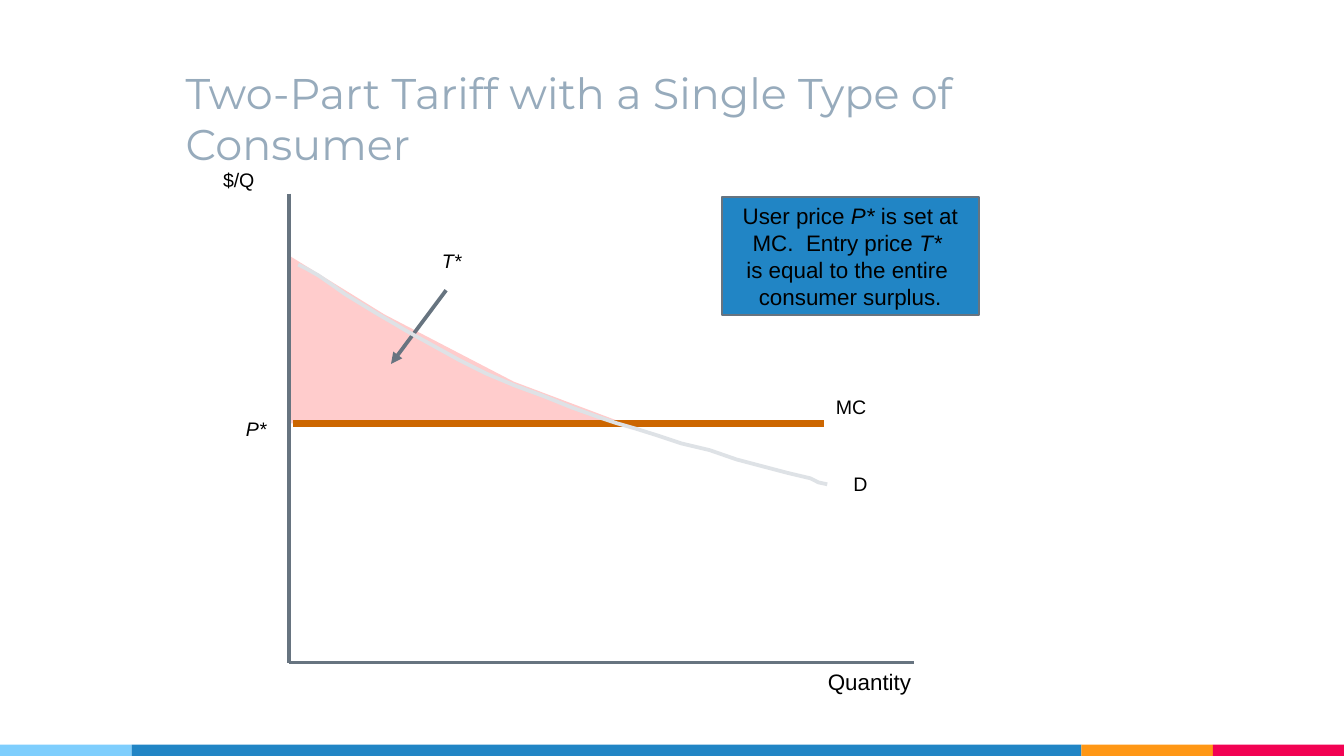
"""Build a slide on the two-part tariff with a single type of consumer."""
from lxml import etree
from pptx import Presentation, util as u
from pptx.dml.color import RGBColor
from pptx.enum import shapes, text
from pptx.oxml.ns import qn

WIDTH, HEIGHT = 720, 405
COLORS = {
    "title": "97ABBC", "text": "000000", "axis": "677480", "surplus": "FFCCCC",
    "cost": "CC6600", "demand": "DEE2E6", "sky": "7ECEFD", "blue": "2185C5",
    "orange": "FF9715", "red": "F20253",
}
TITLE = "Two-Part Tariff with a Single Type of Consumer"
FOOTER = [("sky", 70.5), ("blue", 508.8), ("orange", 70.5), ("red", 70.2)]
FOOTER_HEIGHT = 6
CALLOUT = [
    [("User price ", False), ("P* ", True), ("is set at", False)],
    [("MC.  Entry price ", False), ("T* ", True)],
    [("is equal to the entire ", False)],
    [("consumer surplus.", False)],
]
CALLOUT_FRAME = (386.8, 105.6, 137.5, 63.4)
ORIGIN = (155, 355)
PRICE = 226.8
SURPLUS = [(155, 137), (206, 168.5), (275.3, 204.5), (334.5, PRICE), (155, PRICE)]
DEMAND = [
    (159.8, 141.8), (164.2, 144), (170.6, 147.6), (177.8, 152.6), (185, 157.7),
    (201.6, 167.8), (210.2, 172.8), (217.4, 177.1), (246.2, 193), (260.6, 200.2),
    (275.8, 206.6), (291.6, 212.4), (306, 218.2), (321.8, 223.9), (330.5, 226.8),
    (340.6, 229.7), (352.1, 233.3), (365, 237.6), (380.2, 241.2), (394.6, 246.2),
    (408.2, 249.8), (421.9, 253.4), (434.2, 256.3), (438.5, 258.5), (443.2, 259.5),
]
LINES = [
    ((239, 155.5), (209.5, 195), "axis", 2, True),
    ((155, 103.7), ORIGIN, "axis", 2, False),
    (ORIGIN, (489.6, 355), "axis", 2, False),
    ((157, PRICE), (441.4, PRICE), "cost", 4, False),
]
LABELS = [
    ("T*", 231.8, 130.3, 21.6, 10.5, True),
    ("Quantity", 438.5, 355, 56.2, 12, False),
    ("$/Q", 114.5, 87.1, 28.1, 10.5, False),
    ("MC", 442.8, 208.8, 27.4, 10.5, False),
    ("P*", 126.7, 220.3, 22.3, 10.5, True),
    ("D", 452.2, 249.8, 18.7, 10.5, False),
]


def points(values):
    return [u.Pt(value) for value in values]


def color(name):
    return RGBColor.from_string(COLORS[name])


def style_shape(shape, fill=None, line=None, width=1):
    shape.shadow.inherit = False
    if fill:
        shape.fill.solid()
        shape.fill.fore_color.rgb = color(fill)
    else:
        shape.fill.background()
    if line:
        shape.line.color.rgb = color(line)
        shape.line.width = u.Pt(width)
    else:
        shape.line.fill.background()


def style_span(span, size, italic=False, face="Arial", shade="text"):
    span.font.name, span.font.size, span.font.italic = face, u.Pt(size), italic
    span.font.color.rgb = color(shade)


def set_frame(frame, margins, wrap=True, anchor=text.MSO_ANCHOR.TOP):
    frame.margin_left = frame.margin_right = u.Pt(margins[0])
    frame.margin_top = frame.margin_bottom = u.Pt(margins[1])
    frame.auto_size = text.MSO_AUTO_SIZE.NONE
    frame.word_wrap, frame.vertical_anchor = wrap, anchor


def add_outline(page, vertices, close, **style):
    start, *rest = [points(vertex) for vertex in vertices]
    builder = page.shapes.build_freeform(*start, scale=1.0)
    builder.add_line_segments(rest, close=close)
    style_shape(builder.convert_to_shape(), **style)


def add_line(page, start, end, shade, width, arrow):
    line = page.shapes.add_connector(
        shapes.MSO_CONNECTOR.STRAIGHT, *points(start + end))
    line.line.color.rgb = color(shade)
    line.line.width = u.Pt(width)
    properties = line._element.spPr
    if arrow:
        etree.SubElement(properties.find(qn("a:ln")), qn("a:tailEnd"), type="triangle")
    etree.SubElement(properties, qn("a:effectLst"))


def add_label(page, words, left, top, width, size, italic):
    box = page.shapes.add_textbox(*points((left, top, width, size + 8)))
    set_frame(box.text_frame, (5, 2.9), wrap=False)
    box.text_frame.text = words
    style_span(box.text_frame.paragraphs[0].runs[0], size, italic)


def add_rectangle(page, frame, **style):
    box = page.shapes.add_shape(shapes.MSO_SHAPE.RECTANGLE, *points(frame))
    style_shape(box, **style)
    return box


def add_title(page):
    title = page.shapes.title
    title.left, title.top, title.width, title.height = points((92.2, 30.2, 522, 36.7))
    set_frame(title.text_frame, (7.2, 5.4))
    title.text_frame.text = TITLE
    para = title.text_frame.paragraphs[0]
    para.alignment = text.PP_ALIGN.LEFT
    style_span(para.runs[0], 23, face="Montserrat", shade="title")


def add_callout(page):
    box = add_rectangle(page, CALLOUT_FRAME, fill="blue", line="axis")
    frame = box.text_frame
    set_frame(frame, (5, 2.9), anchor=text.MSO_ANCHOR.MIDDLE)
    frame.text = "\n".join("" for _ in CALLOUT)
    for para, parts in zip(frame.paragraphs, CALLOUT):
        para.alignment = text.PP_ALIGN.CENTER
        for words, italic in parts:
            span = para.add_run()
            span.text = words
            style_span(span, 12, italic)


def main():
    deck = Presentation()
    deck.slide_width, deck.slide_height = points((WIDTH, HEIGHT))
    page = deck.slides.add_slide(deck.slide_layouts.get_by_name("Title Only"))
    left = 0
    for shade, width in FOOTER:
        add_rectangle(page, (left, HEIGHT - FOOTER_HEIGHT, width, FOOTER_HEIGHT), fill=shade)
        left += width
    add_title(page)
    add_outline(page, SURPLUS, True, fill="surplus")
    add_callout(page)
    for line in LINES:
        add_line(page, *line)
    add_outline(page, DEMAND, False, line="demand", width=2)
    for label in LABELS:
        add_label(page, *label)
    deck.save("out.pptx")


if __name__ == "__main__":
    main()
